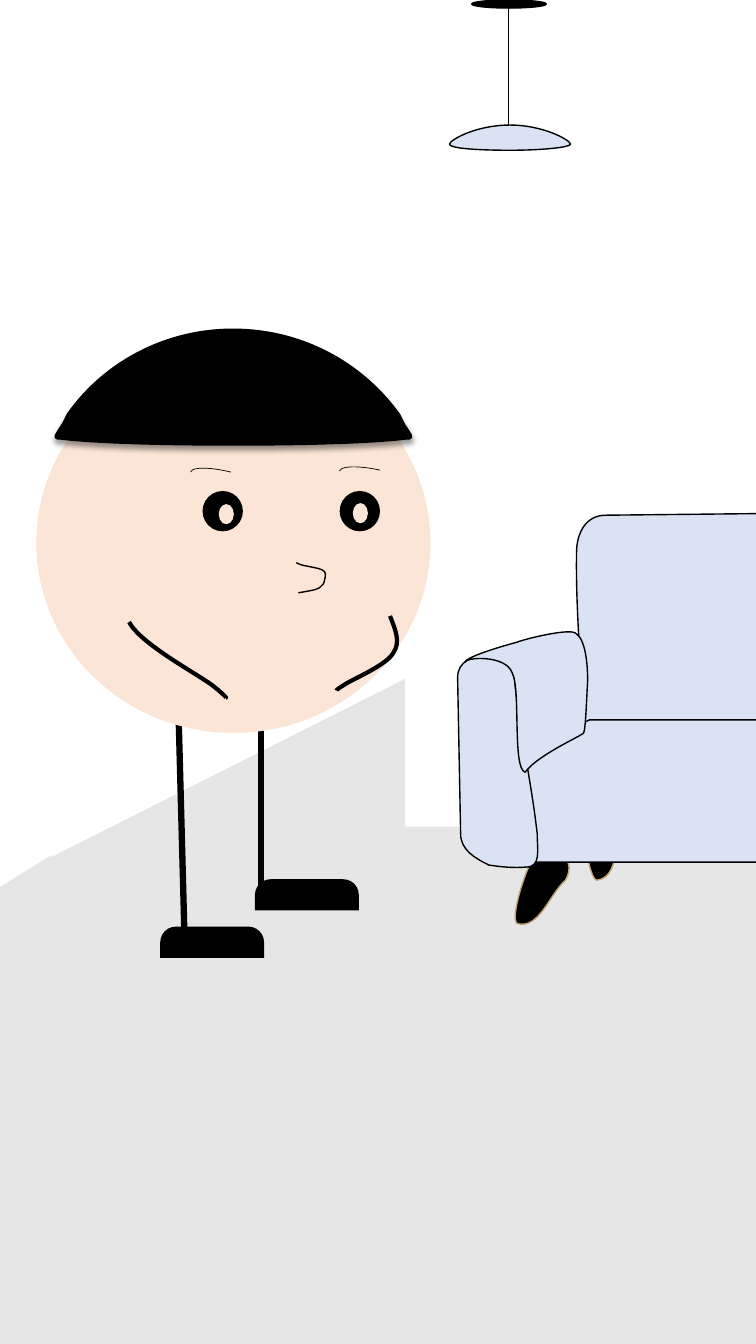
from lxml import etree
from pptx import Presentation
from pptx import util as u
from pptx.dml.color import RGBColor
from pptx.enum import shapes as s
from pptx.oxml.ns import qn

BLACK, WHITE, SKIN = "000000", "FFFFFF", "FBE5D6"
BLUE, GREY, TAN = "DAE3F3", "E7E6E6", "C0A175"


def cm(inch):
    return u.Cm(inch * 2.54)


def paint(fill, tint):
    if tint is None:
        fill.background()
    else:
        fill.solid()
        fill.fore_color.rgb = RGBColor.from_string(tint)


class Pen:
    def __init__(self, deck):
        self.slide = deck.slides.add_slide(deck.slide_layouts[6])
        self.items = self.slide.shapes
        paint(self.slide.background.fill, GREY)

    def group(self):
        self.items = self.slide.shapes.add_group_shape().shapes

    def style(self, shape, fill, width, ink=BLACK):
        shape.shadow.inherit = False
        paint(shape.fill, fill)
        paint(shape.line.fill, ink if width else None)
        if width:
            shape.line.width = u.Pt(width)
        return shape

    def shape(self, kind, box, fill=None, width=0):
        shape = self.items.add_shape(kind, *map(cm, box))
        return self.style(shape, fill, width)

    def oval(self, box, fill, width=0):
        return self.shape(s.MSO_SHAPE.OVAL, box, fill, width)

    def brow(self, box, angle):
        arc = self.shape(s.MSO_SHAPE.ARC, box, width=0.5)
        arc.rotation = angle
        arc._element.spPr.find(qn("a:xfrm")).set("flipH", "1")

    def shoe(self, left, top):
        shoe = self.shape(s.MSO_SHAPE.ROUND_2_SAME_RECTANGLE,
                          (left, top, 1.03, 0.31), BLACK)
        shoe.adjustments[0] = 0.5
        shoe.adjustments[1] = 0

    def line(self, ends, width):
        line = self.items.add_connector(s.MSO_CONNECTOR.STRAIGHT, *map(cm, ends))
        paint(line.line.fill, BLACK)
        line.line.width = u.Pt(width)
        etree.SubElement(line._element.spPr, qn("a:effectLst"))

    def free(self, curve, fill=None, width=0, ink=BLACK):
        marks, points, kind = [], [], "M"
        for word in curve.split():
            if word.isalpha():
                kind = word
            else:
                marks.append(kind)
                points.append(tuple(cm(float(n)) for n in word.split(",")))
        build = self.items.build_freeform(*points[0], scale=1.0)
        build.add_line_segments(points[1:], close=kind == "Z")
        shape = build.convert_to_shape()
        steps = list(shape._element.iter(qn("a:lnTo")))
        bends = [step for step, mark in zip(steps, marks[1:]) if mark == "C"]
        for first, second, third in zip(*[iter(bends)] * 3):
            first.tag = qn("a:cubicBezTo")
            for step in (second, third):
                first.append(step[0])
                step.getparent().remove(step)
        return self.style(shape, fill, width, ink)

    def hair(self, curve):
        lock = self.free(curve, BLACK, 4.5)
        glow = etree.SubElement(
            lock._element.spPr.find(qn("a:effectLst")), qn("a:outerShdw"),
            blurRad=str(u.Pt(4)), dist=str(u.Pt(3)), dir="5400000",
            algn="t", rotWithShape="0")
        tint = etree.SubElement(glow, qn("a:srgbClr"), val=BLACK)
        etree.SubElement(tint, qn("a:alpha"), val="40000")


def draw_walls(pen):
    pen.shape(s.MSO_SHAPE.RECTANGLE, (4.02, -0.45, 5.06, 8.65), WHITE)
    pen.group()
    pen.free("0.29,-0.14 L 4.15,-0.07 4.26,6.61 0.51,8.5 Z", WHITE)
    pen.free("-4.29,-0.31 L 0.55,-0.35 0.64,8.4 -4.29,11.45 Z", WHITE)


def draw_man(pen):
    pen.group()
    for leg in ((2.59, 6.49, 2.59, 8.95), (1.77, 7.02, 1.83, 9.28)):
        pen.line(leg, 4.5)
    pen.oval((0.36, 3.5, 3.91, 3.77), SKIN)
    pen.shoe(1.59, 9.19)
    pen.shoe(2.53, 8.72)
    for arm in (
        "3.87,6.11 C 3.92,6.24 3.98,6.37 3.9,6.48 3.83,6.6 3.51,6.73 3.42,6.79"
        " 3.32,6.85 3.34,6.85 3.34,6.85",
        "1.28,6.17 C 1.4,6.39 1.95,6.68 2.11,6.8 2.27,6.93 2.24,6.92 2.24,6.92",
    ):
        pen.free(arm, width=3)
    nose = ("2.94,5.58 C 2.95,5.59 2.96,5.59 2.98,5.6 3,5.61 3.03,5.61 3.07,5.62"
            " 3.11,5.63 3.2,5.64 3.22,5.67 3.24,5.69 3.22,5.76 3.21,5.79"
            " 3.19,5.82 3.16,5.84 3.12,5.85 3.08,5.86 3.02,5.87 2.96,5.88")
    pen.free(nose, width=1)
    for eye, glint, top in ((3.37, 3.5, 4.99), (2.01, 2.17, 5)):
        pen.oval((eye, 4.87, 0.4, 0.4), BLACK)
        pen.oval((glint, top, 0.15, 0.2), SKIN)
    pen.hair("2.31,4.16 C 2.99,4.16 3.58,4.18 3.94,4.21 L 3.99,4.22 4.03,4.28"
             " 4.06,4.33 4.03,4.33 C 3.7,4.37 3.06,4.39 2.31,4.39"
             " 1.57,4.39 0.93,4.37 0.6,4.33 L 0.57,4.33 0.6,4.28 0.64,4.22"
             " 0.69,4.21 C 1.04,4.18 1.64,4.16 2.31,4.16 Z")
    pen.hair("2.31,3.29 C 2.99,3.29 3.58,3.62 3.94,4.12 L 3.99,4.22 3.94,4.21"
             " C 3.58,4.18 2.99,4.16 2.31,4.16 1.64,4.16 1.04,4.18 0.69,4.21"
             " L 0.64,4.22 0.69,4.12 C 1.04,3.62 1.64,3.29 2.31,3.29 Z")
    pen.free("1.49,4.09 L 1.53,4.09 C 1.68,4.11 1.76,4.13 1.76,4.15"
             " 1.76,4.16 1.71,4.18 1.61,4.19 L 1.55,4.2 1.53,4.15 Z", BLACK)
    pen.brow((3.36, 4.66, 0.78, 0.19), 12.4)
    pen.brow((1.88, 4.68, 0.78, 0.19), 13.9)


def draw_lamp(pen):
    pen.group()
    pen.oval((4.68, 0, 0.74, 0.08), BLACK, 1)
    pen.line((5.04, 0.04, 5.04, 1.24), 0.5)
    pen.free("4.46,1.43 C 4.46,1.39 4.72,1.24 5.06,1.24 5.39,1.24 5.66,1.39 5.66,1.43"
             " 5.66,1.46 5.39,1.49 5.06,1.49 4.72,1.49 4.46,1.47 4.46,1.43 Z", BLUE, 1)


def draw_sofa(pen):
    pen.group()
    feet = (
        "5.55,8.46 C 5.45,8.4 5.33,8.43 5.28,8.53 5.21,8.64 5.06,9.1 5.13,9.16"
        " 5.35,9.22 5.45,8.87 5.61,8.73 5.68,8.61 5.64,8.51 5.55,8.46 Z",
        "6.01,7.92 C 5.9,7.91 5.8,7.99 5.79,8.1 5.78,8.23 5.84,8.71 5.92,8.73"
        " 6.15,8.7 6.09,8.34 6.18,8.14 6.2,8 6.11,7.93 6.01,7.92 Z",
    )
    for foot in feet:
        pen.free(foot, BLACK, 1, TAN)
    back = ("5.72,5.48 C 5.72,5.29 5.81,5.11 6.01,5.11 L 8.83,5.08 11.61,5.11"
            " C 11.8,5.11 11.96,5.26 11.96,5.46 L 11.96,7.22"
            " C 11.96,7.41 11.8,7.57 11.61,7.57 L 6.01,7.57"
            " C 5.81,7.57 5.79,7.41 5.79,7.22 5.77,6.64 5.71,6.06 5.72,5.48 Z")
    seat = ("5.85,7.14 L 11.84,7.14 C 11.88,7.14 12.34,7.45 12.45,7.56"
            " L 12.46,7.59 12.49,7.59 C 12.61,7.64 12.68,7.75 12.68,7.88"
            " L 12.68,8.24 C 12.68,8.41 12.54,8.55 12.37,8.55 L 5.31,8.55"
            " C 5.14,8.55 5,8.41 5,8.24 L 5,7.88 C 5,7.75 5.08,7.64 5.19,7.59"
            " L 5.24,7.58 5.25,7.57 C 5.39,7.46 5.81,7.14 5.85,7.14 Z")
    front = ("5.11,6.79 C 5.11,6.63 4.99,6.5 4.84,6.5 4.69,6.5 4.54,6.56 4.54,6.72"
             " L 4.57,8.27 C 4.57,8.43 4.71,8.51 4.85,8.58 4.98,8.6 5.1,8.61 5.22,8.6"
             " 5.37,8.6 5.33,8.43 5.33,8.27 5.27,7.74 5.16,7.28 5.11,6.79 Z")
    arm = ("5.79,7.27 C 5.81,7.24 5.82,6.92 5.83,6.75 5.83,6.59 5.81,6.34 5.71,6.28"
           " 5.64,6.23 5.2,6.34 5.13,6.37 4.94,6.42 4.62,6.52 4.61,6.57"
           " 4.61,6.52 5.01,6.49 5.08,6.67 5.17,6.83 5.08,7.62 5.21,7.66"
           " 5.33,7.49 5.77,7.3 5.79,7.27 Z")
    for part in (back, seat, front, arm):
        pen.free(part, BLUE, 1)


def main():
    deck = Presentation()
    deck.slide_width, deck.slide_height = cm(7.5), cm(13.33)
    pen = Pen(deck)
    for draw in (draw_walls, draw_man, draw_lamp, draw_sofa):
        draw(pen)
    deck.save("out.pptx")


if __name__ == "__main__":
    main()
